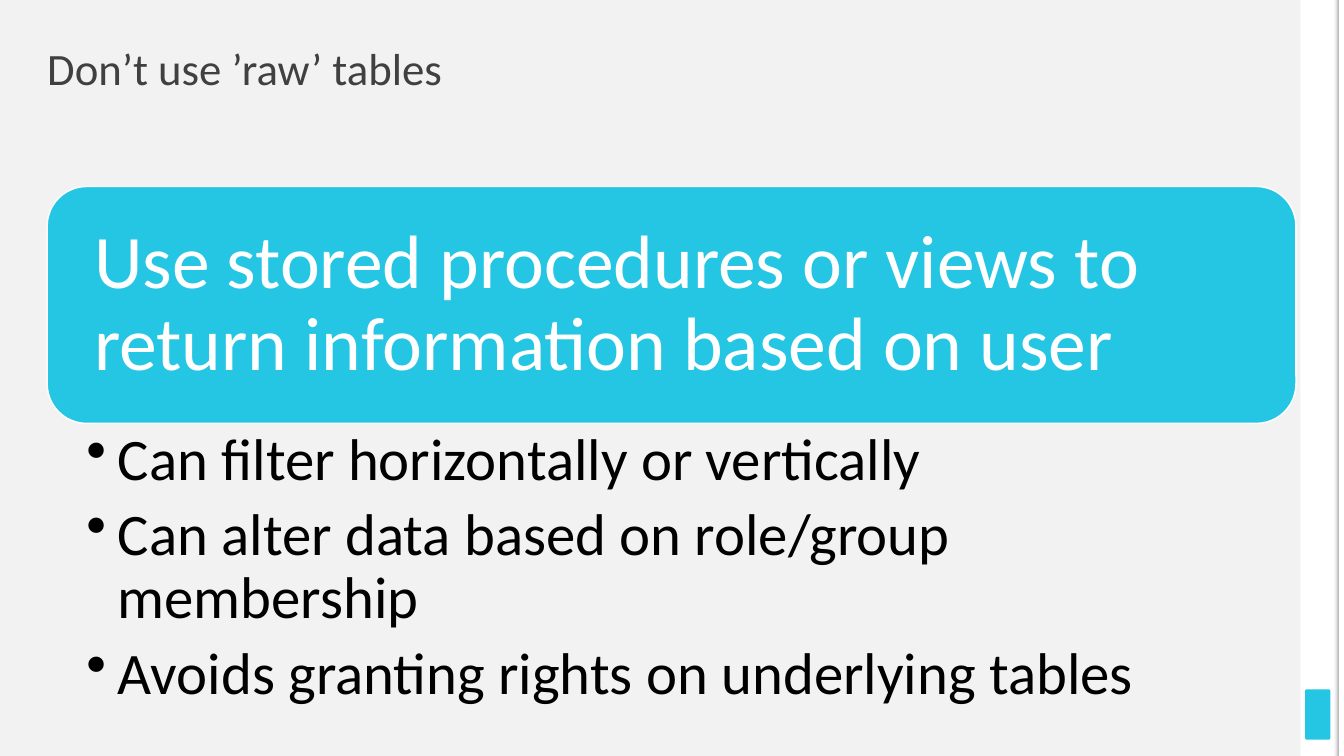
from dataclasses import dataclass

from lxml.etree import SubElement
from pptx import Presentation
from pptx.dml.color import RGBColor
from pptx.enum.shapes import MSO_SHAPE as Preset
from pptx.enum.text import MSO_ANCHOR as Anchor, MSO_AUTO_SIZE as AutoSize, PP_ALIGN as Align
from pptx.oxml.ns import qn
from pptx.shapes.autoshape import Shape
from pptx.slide import Slide
from pptx.text.text import TextFrame
from pptx.util import Cm, Pt

WHITE = RGBColor(0xFF, 0xFF, 0xFF)
BLACK = RGBColor(0, 0, 0)
CYAN = RGBColor(0x25, 0xC6, 0xE3)
PAPER = RGBColor(0xF2, 0xF2, 0xF2)
SHADE = RGBColor(0xA6, 0xA6, 0xA6)
TITLE_GREY = RGBColor(0x40, 0x40, 0x40)

SLIDE_WIDTH, SLIDE_HEIGHT = 33.87, 19.05
MARGIN, CONTENT_WIDTH = 1.19, 31.47
EDGE_WIDTH = 0.13
BULLET_INDENT = Cm(0.79)

BENEFITS = (
    "Can filter horizontally or vertically",
    "Can alter data based on role/group membership",
    "Avoids granting rights on underlying tables",
)


@dataclass(frozen=True)
class Box:
    """A place on the slide in centimetres."""
    left: float
    top: float
    width: float
    height: float

    def lengths(self) -> tuple[Cm, Cm, Cm, Cm]:
        return Cm(self.left), Cm(self.top), Cm(self.width), Cm(self.height)


@dataclass(frozen=True)
class Panel:
    box: Box
    fill: RGBColor = WHITE
    preset: Preset = Preset.RECTANGLE
    corner: float | None = None
    outline: RGBColor | None = None


@dataclass(frozen=True)
class TextStyle:
    size: int
    color: RGBColor
    anchor: Anchor
    insets: tuple[float, float, float, float]
    space_after: float = 0
    bulleted: bool = False


SIDE_STRIP = Panel(Box(32.77, 0, 0.99, SLIDE_HEIGHT))
PAGE_MARK = Panel(Box(32.89, 17.37, 0.64, 1.27), CYAN, Preset.ROUNDED_RECTANGLE, 0.074)
EDGE_LIGHT = Panel(Box(33.74, 0, EDGE_WIDTH, SLIDE_HEIGHT))
EDGE_SHADE = Panel(Box(33.74 - EDGE_WIDTH, 0, EDGE_WIDTH, SLIDE_HEIGHT))
BANNER = Panel(Box(MARGIN, 4.7, CONTENT_WIDTH, 5.97), CYAN,
               Preset.ROUNDED_RECTANGLE, outline=WHITE)

TITLE_BOX = Box(MARGIN, 1.19, CONTENT_WIDTH, 1.19)
BENEFITS_BOX = Box(MARGIN, 10.64, CONTENT_WIDTH, 6.05)

TITLE_STYLE = TextStyle(32, TITLE_GREY, Anchor.MIDDLE, (0, 0, 0, 0))
BANNER_STYLE = TextStyle(54, WHITE, Anchor.MIDDLE, (0.89, 0.89, 0.89, 0.89))
BENEFITS_STYLE = TextStyle(42, BLACK, Anchor.TOP, (0.99, 0.18, 1.07, 0.18), 8.4, True)


def apply(target: object, values: dict[str, object]) -> None:
    for name, value in values.items():
        setattr(target, name, value)


def add_panel(slide: Slide, panel: Panel) -> Shape:
    shape = slide.shapes.add_shape(panel.preset, *panel.box.lengths())
    shape.shadow.inherit = False
    shape.fill.solid()
    shape.fill.fore_color.rgb = panel.fill
    if panel.corner is not None:
        shape.adjustments[0] = panel.corner
    if panel.outline is None:
        shape.line.fill.background()
    else:
        shape.line.color.rgb = panel.outline
        shape.line.width = Pt(1)
    return shape


def fade_to_shade(shape: Shape) -> None:
    """Blend from transparent on the left to grey on the right."""
    shape.fill.gradient()
    shape.fill.gradient_angle = 0
    for stop, position, color in zip(shape.fill.gradient_stops, (0, 1), (PAPER, SHADE)):
        stop.position = position
        stop.color.rgb = color
    first_color = next(shape.element.iter(qn("a:srgbClr")))
    SubElement(first_color, qn("a:alpha"), val="0")


def write(frame: TextFrame, lines: tuple[str, ...], style: TextStyle) -> None:
    left, top, right, bottom = map(Cm, style.insets)
    apply(frame, {
        "text": "\n".join(lines), "word_wrap": True, "auto_size": AutoSize.NONE,
        "vertical_anchor": style.anchor, "margin_left": left, "margin_top": top,
        "margin_right": right, "margin_bottom": bottom,
    })
    for paragraph in frame.paragraphs:
        apply(paragraph, {
            "alignment": Align.LEFT, "line_spacing": 0.9,
            "space_before": Pt(0), "space_after": Pt(style.space_after),
        })
        if style.bulleted:
            properties = paragraph._p.get_or_add_pPr()
            properties.set("marL", str(BULLET_INDENT))
            properties.set("indent", str(-BULLET_INDENT))
            SubElement(properties, qn("a:buChar"), char="•")
        apply(paragraph.font, {"name": "Calibri", "size": Pt(style.size)})
        paragraph.font.color.rgb = style.color


def main() -> None:
    deck = Presentation()
    apply(deck, {"slide_width": Cm(SLIDE_WIDTH), "slide_height": Cm(SLIDE_HEIGHT)})
    slide = deck.slides.add_slide(deck.slide_layouts.get_by_name("Title Only"))
    slide.background.fill.solid()
    slide.background.fill.fore_color.rgb = PAPER

    for panel in (SIDE_STRIP, PAGE_MARK, EDGE_LIGHT):
        add_panel(slide, panel)
    fade_to_shade(add_panel(slide, EDGE_SHADE))

    title = slide.shapes.title
    apply(title, dict(zip(("left", "top", "width", "height"), TITLE_BOX.lengths())))
    write(title.text_frame, ("Don’t use ’raw’ tables",), TITLE_STYLE)

    banner = add_panel(slide, BANNER)
    write(banner.text_frame,
          ("Use stored procedures or views to return information based on user",),
          BANNER_STYLE)

    benefits = slide.shapes.add_textbox(*BENEFITS_BOX.lengths())
    write(benefits.text_frame, BENEFITS, BENEFITS_STYLE)

    deck.save("out.pptx")


if __name__ == "__main__":
    main()
